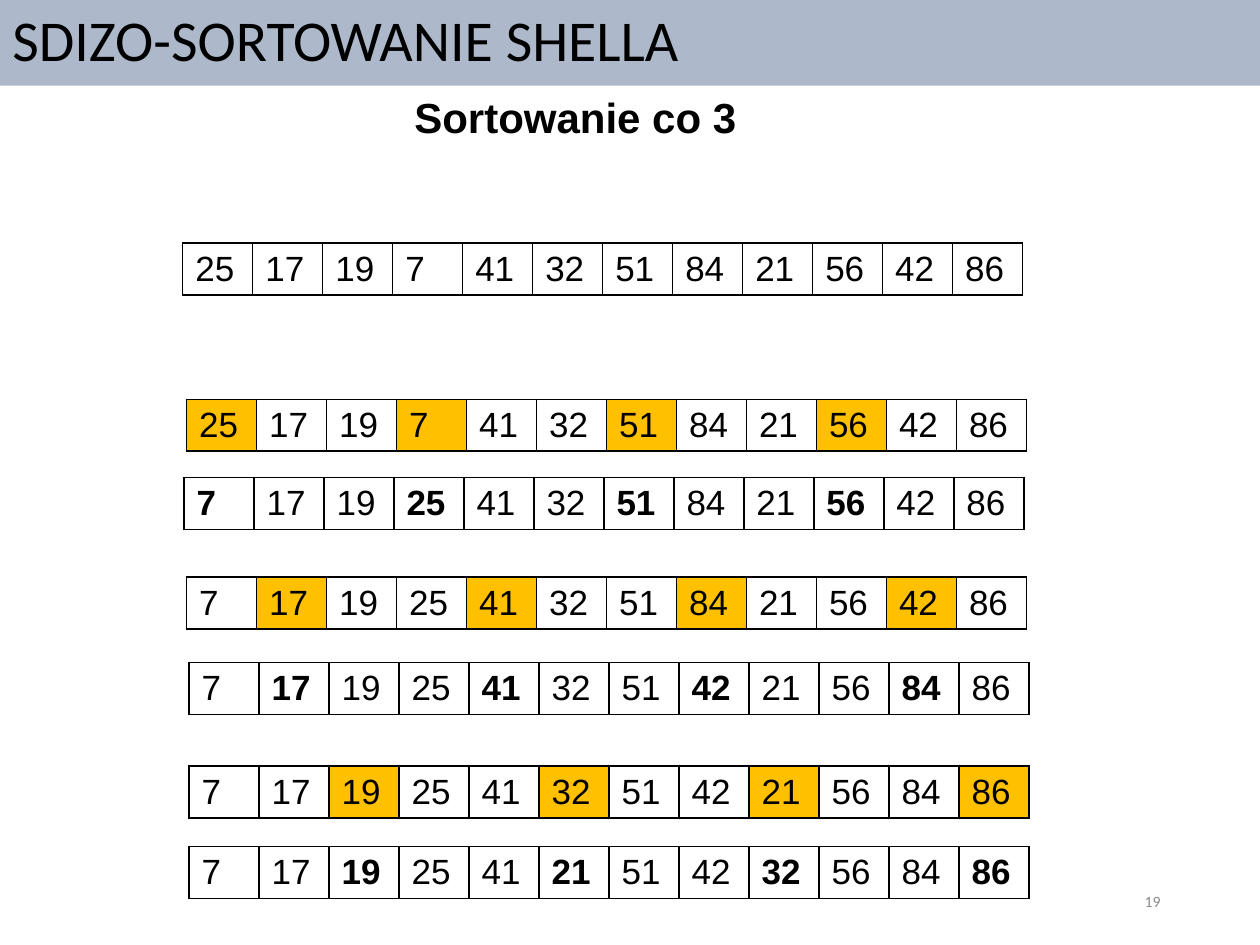
from dataclasses import dataclass

from lxml import etree
from pptx import Presentation
from pptx.dml.color import RGBColor
from pptx.enum.shapes import MSO_SHAPE
from pptx.enum.text import MSO_ANCHOR, MSO_AUTO_SIZE, PP_ALIGN
from pptx.oxml.ns import qn
from pptx.util import Inches, Pt

RECT = MSO_SHAPE.RECTANGLE
TOP, MIDDLE = MSO_ANCHOR.TOP, MSO_ANCHOR.MIDDLE
LEFT, RIGHT = PP_ALIGN.LEFT, PP_ALIGN.RIGHT
GROW = MSO_AUTO_SIZE.SHAPE_TO_FIT_TEXT
NO_FIT = MSO_AUTO_SIZE.NONE


@dataclass(frozen=True)
class Theme:
    band: str = "ADB9CA"
    ink: str = "000000"
    muted: str = "8C8C8C"
    mark: str = "FFC000"
    heading_font: str = "Calibri"
    body_font: str = "Arial"
    title_size: int = 33
    subtitle_size: int = 24
    cell_size: int = 20
    number_size: int = 9
    border: float = 1


class SlideBuilder:
    def __init__(self, slide, theme):
        self.s = slide
        self.theme = theme

    def add_run(self, tf, text, color, align=LEFT, spacing=1.0, **font):
        p = tf.paragraphs[0]
        p.alignment = align
        p.line_spacing = spacing
        r = p.add_run()
        r.text = text
        for name, value in font.items():
            setattr(r.font, name, value)
        r.font.color.rgb = RGBColor.from_string(color)

    def title(self, box, text):
        t = self.theme
        sp = self.s.shapes.add_shape(RECT, *map(Inches, box))
        sp.shadow.inherit = False
        sp.fill.solid()
        sp.fill.fore_color.rgb = RGBColor.from_string(t.band)
        sp.line.fill.background()
        sp.text_frame.vertical_anchor = MIDDLE
        self.add_run(sp.text_frame, text, t.ink, spacing=0.9,
                     name=t.heading_font, size=Pt(t.title_size))

    def text(self, box, text, color, anchor=TOP, fit=NO_FIT, **style):
        tf = self.s.shapes.add_textbox(*map(Inches, box)).text_frame
        for name, value in {"word_wrap": True, "vertical_anchor": anchor,
                            "auto_size": fit}.items():
            setattr(tf, name, value)
        self.add_run(tf, text, color, **style)

    def borders(self, cell):
        tcPr = cell._tc.get_or_add_tcPr()
        for side in ("a:lnL", "a:lnR", "a:lnT", "a:lnB"):
            ln = etree.SubElement(tcPr, qn(side), w=str(Pt(self.theme.border)))
            fill = etree.SubElement(ln, qn("a:solidFill"))
            etree.SubElement(fill, qn("a:srgbClr"), val=self.theme.ink)

    def array(self, left, top, values, marked=(), bold=()):
        t = self.theme
        table = self.s.shapes.add_table(
            1, len(values), Inches(left), Inches(top),
            Inches(ARRAY_WIDTH), Inches(ARRAY_HEIGHT)).table
        table.first_row = table.horz_banding = False
        for i, value in enumerate(values):
            cell = table.cell(0, i)
            self.borders(cell)
            if i in marked:
                cell.fill.solid()
                cell.fill.fore_color.rgb = RGBColor.from_string(t.mark)
            else:
                cell.fill.background()
            self.add_run(cell.text_frame, str(value), t.ink, name=t.body_font,
                         size=Pt(t.cell_size), bold=i in bold)


ARRAY_WIDTH, ARRAY_HEIGHT = 6.67, 0.41
GAP = 3
NUMBERS = [25, 17, 19, 7, 41, 32, 51, 84, 21, 56, 42, 86]
START = (1.45, 1.93)
# Position of the array before and after each pass
PASSES = [
    ((1.48, 3.17), (1.46, 3.79)),
    ((1.48, 4.58), (1.5, 5.26)),
    ((1.5, 6.08), (1.5, 6.72)),
]


def main():
    prs = Presentation()
    prs.slide_width, prs.slide_height = Inches(10), Inches(7.5)
    theme = Theme()
    slide = SlideBuilder(prs.slides.add_slide(prs.slide_layouts[6]), theme)

    # Title band
    slide.title((0, 0, 10, 0.68), "SDIZO-SORTOWANIE SHELLA")

    # Starting array, then each pass sorts every third element
    values = list(NUMBERS)
    slide.array(*START, values)
    for offset, (before, after) in enumerate(PASSES):
        group = range(offset, len(values), GAP)
        slide.array(*before, values, marked=group)
        values[offset::GAP] = sorted(values[offset::GAP])
        slide.array(*after, values, bold=group)

    # Subtitle and slide number
    slide.text((3.19, 0.68, 2.83, 0.5), "Sortowanie co 3", theme.ink, fit=GROW,
               name=theme.body_font, size=Pt(theme.subtitle_size), bold=True)
    slide.text((7.06, 6.95, 2.25, 0.4), "19", theme.muted, anchor=MIDDLE,
               align=RIGHT, name=theme.heading_font,
               size=Pt(theme.number_size))

    prs.save("out.pptx")


if __name__ == "__main__":
    main()
